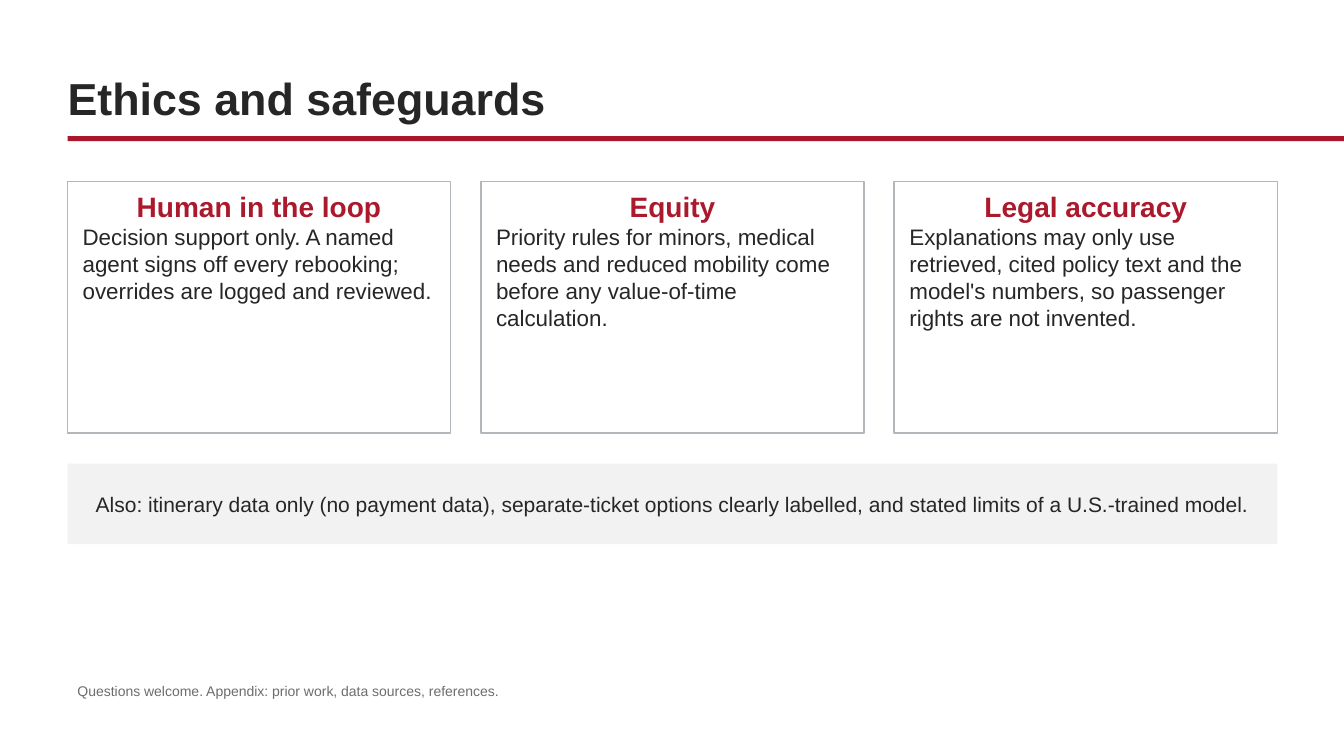
from pptx import Presentation
from pptx.dml.color import RGBColor
from pptx.enum.shapes import MSO_SHAPE as Shape
from pptx.enum.text import MSO_ANCHOR as Anchor, PP_ALIGN as Align
from pptx.util import Inches, Pt

WIDTH, HEIGHT = 13.33, 7.5
MARGIN, CONTENT_WIDTH = 0.67, 12
CARD_WIDTH, CARD_GAP = 3.8, 0.3
CARD_TOP, CARD_HEIGHT = 1.8, 2.5
INK, GREY = "272626", "6D6D6D"
CARD_INSETS = (0.15, 0.08)

CARDS = [
    ("Human in the loop",
     "Decision support only. A named agent signs off every rebooking; "
     "overrides are logged and reviewed."),
    ("Equity",
     "Priority rules for minors, medical needs and reduced mobility come "
     "before any value-of-time calculation."),
    ("Legal accuracy",
     "Explanations may only use retrieved, cited policy text and the "
     "model's numbers, so passenger rights are not invented."),
]


def color(hex_value):
    return RGBColor.from_string(hex_value)


def add_panel(slide, box, fill=None, border=None):
    panel = slide.shapes.add_shape(Shape.RECTANGLE, *map(Inches, box))
    panel.shadow.inherit = False
    if fill:
        panel.fill.solid()
        panel.fill.fore_color.rgb = color(fill)
    else:
        panel.fill.background()
    if border:
        panel.line.color.rgb = color(border)
        panel.line.width = Pt(1.25)
    else:
        panel.line.fill.background()
    return panel


def write(holder, paragraphs, insets=(0.1, 0.05), anchor=Anchor.TOP):
    """Fill a shape with (text, size, color, bold, alignment) paragraphs."""
    frame = holder.text_frame
    side, end = map(Inches, insets)
    layout = {"word_wrap": True, "vertical_anchor": anchor,
              "margin_left": side, "margin_right": side,
              "margin_top": end, "margin_bottom": end}
    for name, value in layout.items():
        setattr(frame, name, value)
    for index, (text, size, ink, bold, alignment) in enumerate(paragraphs):
        paragraph = frame.add_paragraph() if index else frame.paragraphs[0]
        paragraph.alignment = alignment
        run = paragraph.add_run()
        run.text = text
        style = {"name": "Arial", "size": Pt(size), "bold": bold}
        for name, value in style.items():
            setattr(run.font, name, value)
        run.font.color.rgb = color(ink)
    return frame


def add_title(slide, text):
    add_panel(slide, (MARGIN, 1.35, WIDTH - MARGIN, 0.05), fill="AB162B")
    title = slide.shapes.add_textbox(
        *map(Inches, (MARGIN, 0.4, CONTENT_WIDTH, 0.88)))
    frame = write(title, [(text, 32, INK, True, Align.LEFT)],
                  (0, 0.05), Anchor.BOTTOM)
    frame.paragraphs[0].line_spacing = Pt(38)


def add_card(slide, column, heading, body):
    left = MARGIN + column * (CARD_WIDTH + CARD_GAP)
    card = add_panel(slide, (left, CARD_TOP, CARD_WIDTH, CARD_HEIGHT),
                     border="B2B7BB")
    write(card, [(heading, 20, "AB192D", True, Align.CENTER),
                 (body, 16, INK, False, Align.LEFT)], CARD_INSETS)


def add_banner(slide, text):
    top = CARD_TOP + CARD_HEIGHT + CARD_GAP
    banner = add_panel(slide, (MARGIN, top, CONTENT_WIDTH, 0.8), fill="F2F2F2")
    write(banner, [(text, 15, INK, False, Align.CENTER)],
          CARD_INSETS, Anchor.MIDDLE)


def add_footnote(slide, text):
    note = slide.shapes.add_textbox(*map(Inches, (MARGIN, 6.72, 9, 0.35)))
    write(note, [(text, 10, GREY, False, Align.LEFT)])


def main():
    deck = Presentation()
    deck.slide_width, deck.slide_height = Inches(WIDTH), Inches(HEIGHT)
    slide = deck.slides.add_slide(deck.slide_layouts[6])
    add_title(slide, "Ethics and safeguards")
    for column, (heading, body) in enumerate(CARDS):
        add_card(slide, column, heading, body)
    add_banner(slide, "Also: itinerary data only (no payment data), "
                      "separate-ticket options clearly labelled, and stated "
                      "limits of a U.S.-trained model.")
    add_footnote(slide, "Questions welcome. Appendix: prior work, "
                        "data sources, references.")
    deck.save("out.pptx")


if __name__ == "__main__":
    main()
